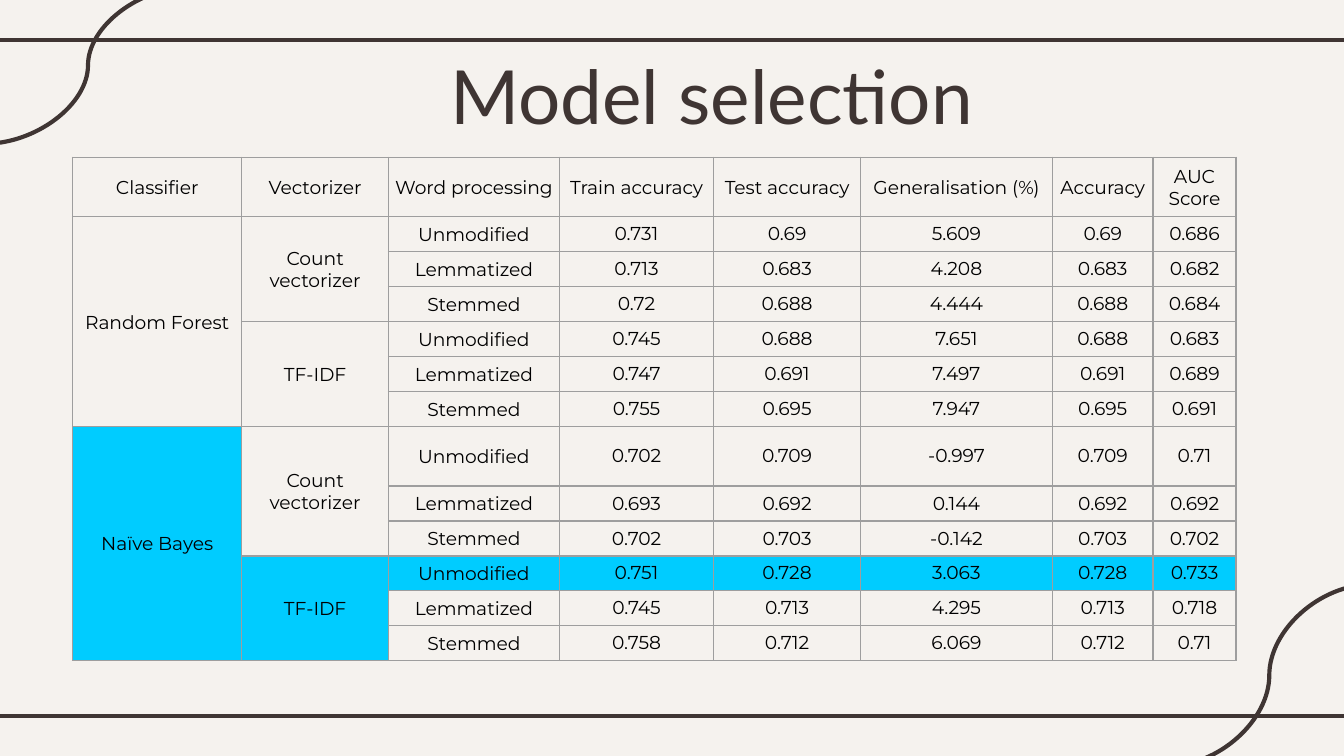
from lxml.etree import SubElement
from pptx import Presentation
from pptx.dml.color import RGBColor
from pptx.enum.shapes import MSO_CONNECTOR as Connector
from pptx.enum.text import MSO_ANCHOR as Anchor, MSO_AUTO_SIZE as AutoSize, PP_ALIGN as Align
from pptx.oxml.ns import qn
from pptx.util import Cm, Pt

# Content
TITLE = "Model selection"
HEADERS = ["Classifier", "Vectorizer", "Word processing", "Train accuracy",
           "Test accuracy", "Generalisation (%)", "Accuracy", "AUC Score"]
CLASSIFIERS = ["Random Forest", "Naïve Bayes"]
VECTORIZERS = ["Count vectorizer", "TF-IDF"]
PROCESSING = ["Unmodified", "Lemmatized", "Stemmed"]
SCORES = [  # train accuracy, test accuracy, generalisation, accuracy, AUC
    ("0.731", "0.69", "5.609", "0.69", "0.686"),
    ("0.713", "0.683", "4.208", "0.683", "0.682"),
    ("0.72", "0.688", "4.444", "0.688", "0.684"),
    ("0.745", "0.688", "7.651", "0.688", "0.683"),
    ("0.747", "0.691", "7.497", "0.691", "0.689"),
    ("0.755", "0.695", "7.947", "0.695", "0.691"),
    ("0.702", "0.709", "-0.997", "0.709", "0.71"),
    ("0.693", "0.692", "0.144", "0.692", "0.692"),
    ("0.702", "0.703", "-0.142", "0.703", "0.702"),
    ("0.751", "0.728", "3.063", "0.728", "0.733"),
    ("0.745", "0.713", "4.295", "0.713", "0.718"),
    ("0.758", "0.712", "6.069", "0.712", "0.71"),
]
BEST_ROW = 10

# Look and measures (cm)
PAPER, INK, BLACK, GRID, HIGHLIGHT = "F5F2EE", "3F3533", "000000", "9E9E9E", "00CCFF"
COLUMN_WIDTHS = [3.2, 2.77, 3.23, 2.92, 2.77, 3.63, 1.9, 1.57]
ROW_HEIGHT, TALL_ROW_HEIGHT, TALL_ROWS = 0.66, 1.13, (0, 7)
FRAME_LINES = [  # kind, start x, start y, end x, end y
    (Connector.STRAIGHT, -0.2, 0.76, 25.6, 0.76),
    (Connector.STRAIGHT, -0.2, 13.54, 25.6, 13.54),
    (Connector.CURVE, 25.91, 11.05, 22.07, 14.48),
    (Connector.CURVE, 3.63, -0.25, -0.3, 2.72),
]


def color(hex_value):
    return RGBColor.from_string(hex_value)


def style_text(paragraph, font_name, size, hex_value):
    paragraph.alignment = Align.CENTER
    paragraph.font.name = font_name
    paragraph.font.size = Pt(size)
    paragraph.font.color.rgb = color(hex_value)


def add_borders(cell):
    properties = cell._tc.get_or_add_tcPr()
    for side in ("a:lnL", "a:lnR", "a:lnT", "a:lnB"):
        line = SubElement(properties, qn(side), w=str(Pt(0.75)))
        fill = SubElement(line, qn("a:solidFill"))
        SubElement(fill, qn("a:srgbClr"), val=GRID)


def style_cell(cell, highlighted, padding):
    add_borders(cell)
    if highlighted:
        cell.fill.solid()
        cell.fill.fore_color.rgb = color(HIGHLIGHT)
    else:
        cell.fill.background()
    cell.vertical_anchor = Anchor.MIDDLE
    cell.margin_left = cell.margin_right = Cm(0.03)
    cell.margin_top, cell.margin_bottom = (Cm(value) for value in padding)
    style_text(cell.text_frame.paragraphs[0], "Montserrat", 10, BLACK)


def is_highlighted(row, column):
    if column == 0:
        return row >= 7
    if column == 1:
        return row >= BEST_ROW
    return row == BEST_ROW


# Slide
presentation = Presentation()
presentation.slide_width, presentation.slide_height = Cm(25.4), Cm(14.29)
slide = presentation.slides.add_slide(presentation.slide_layouts[5])
slide.background.fill.solid()
slide.background.fill.fore_color.rgb = color(PAPER)

# Frame lines and corner curves
for kind, *ends in FRAME_LINES:
    connector = slide.shapes.add_connector(kind, *(Cm(value) for value in ends))
    connector.line.color.rgb = color(INK)
    connector.line.width = Pt(2.25)
    SubElement(connector._element.spPr, qn("a:effectLst"))

# Title
title = slide.shapes.title
title.left, title.top, title.width, title.height = Cm(2.64), Cm(0.43), Cm(21.62), Cm(2.72)
title.text = TITLE
title.text_frame.auto_size = AutoSize.NONE
title.text_frame.vertical_anchor = Anchor.MIDDLE
style_text(title.text_frame.paragraphs[0], "Lato", 40, INK)

# Table grid
heights = [TALL_ROW_HEIGHT if row in TALL_ROWS else ROW_HEIGHT
           for row in range(len(SCORES) + 1)]
table = slide.shapes.add_table(
    len(heights), len(HEADERS), Cm(1.37), Cm(2.97),
    Cm(sum(COLUMN_WIDTHS)), Cm(sum(heights))).table
table.first_row = table.horz_banding = False
for column, width in zip(table.columns, COLUMN_WIDTHS):
    column.width = Cm(width)
for row, height in zip(table.rows, heights):
    row.height = Cm(height)

# Table text: classifiers span six rows, vectorizers three
for column, header in enumerate(HEADERS):
    table.cell(0, column).text = header
for index, scores in enumerate(SCORES):
    row = index + 1
    if index % 6 == 0:
        table.cell(row, 0).text = CLASSIFIERS[index // 6]
        table.cell(row, 0).merge(table.cell(row + 5, 0))
    if index % 3 == 0:
        table.cell(row, 1).text = VECTORIZERS[index // 3 % 2]
        table.cell(row, 1).merge(table.cell(row + 2, 1))
    for column, text in enumerate([PROCESSING[index % 3], *scores], start=2):
        table.cell(row, column).text = text

# Table formatting
for row in range(len(heights)):
    for column in range(len(HEADERS)):
        is_score = row > 0 and column > 2
        style_cell(table.cell(row, column), is_highlighted(row, column),
                   (0.1, 0.1) if is_score else (0.03, 0))

presentation.save("out.pptx")
